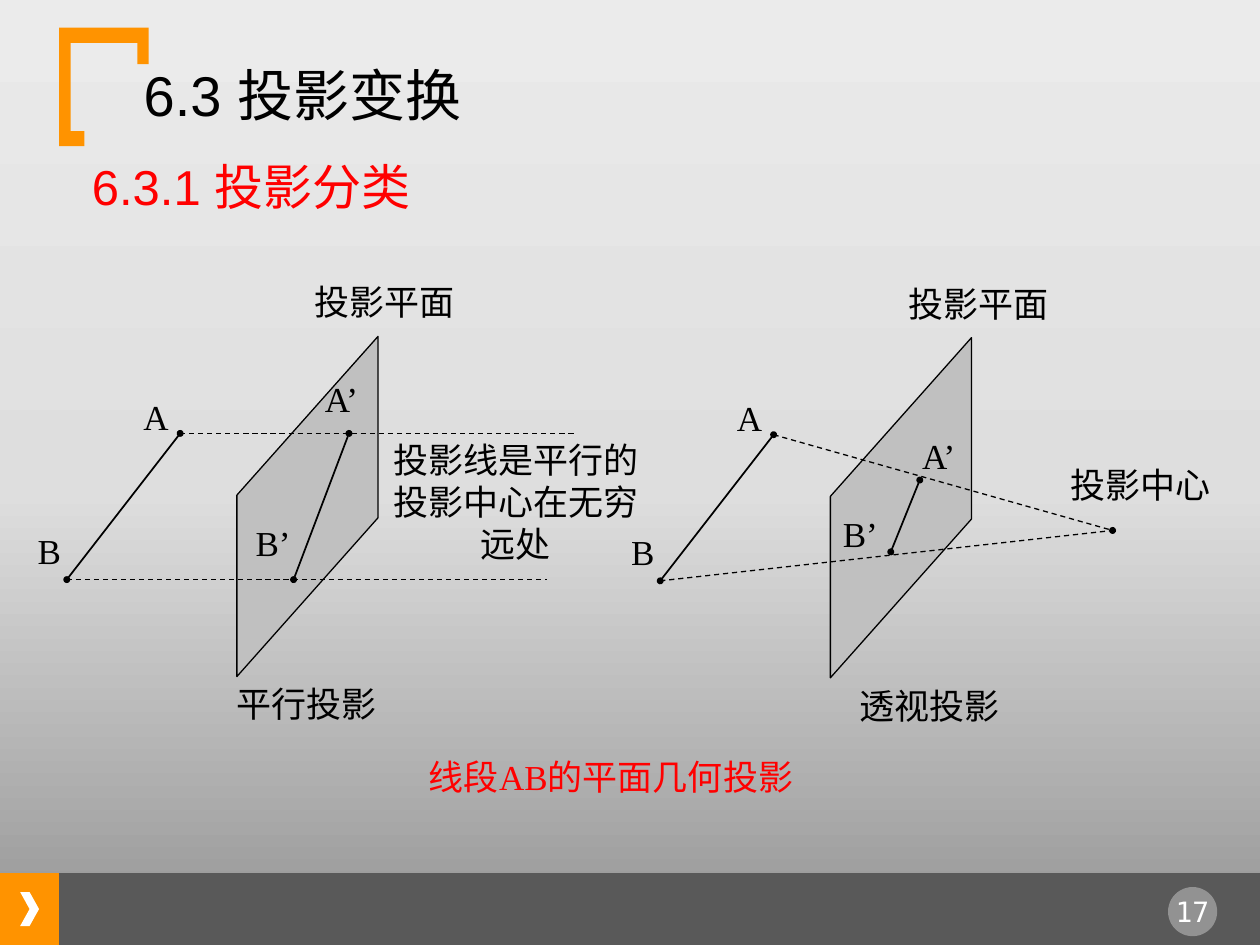
from copy import deepcopy

from lxml.etree import SubElement
from pptx import Presentation
from pptx.dml.color import RGBColor
from pptx.enum.dml import MSO_LINE
from pptx.enum.shapes import MSO_CONNECTOR, MSO_SHAPE
from pptx.enum.text import MSO_ANCHOR as Anchor, MSO_AUTO_SIZE, PP_ALIGN as Align
from pptx.oxml.ns import qn
from pptx.util import Pt

PX = 9144
COLORS = {
    "black": "000000",
    "white": "FFFFFF",
    "red": "FF0000",
    "orange": "FF9300",
    "footer": "595959",
    "plane": "C0C0C0",
}
BACKGROUND = [(0, "949494"), (0.48, "DEDEDE"), (1, "EBEBEB")]


def color(name):
    return RGBColor.from_string(COLORS[name])


def place(shape, box):
    shape.left, shape.top, shape.width, shape.height = [value * PX for value in box]


def write(shape, text, size=20, font="Times New Roman", ink="black",
          align=Align.CENTER, anchor=Anchor.TOP):
    frame = shape.text_frame
    frame.word_wrap = True
    frame.auto_size = MSO_AUTO_SIZE.NONE
    frame.vertical_anchor = anchor
    frame.text = text
    for paragraph in frame.paragraphs:
        properties = paragraph._p.get_or_add_pPr()
        properties.set("marL", "0")
        properties.set("indent", "0")
        SubElement(properties, qn("a:buNone"))
        paragraph.alignment = align
        paragraph.space_before = Pt(0)
        paragraph.font.size = Pt(size)
        paragraph.font.name = font
        paragraph.font.color.rgb = color(ink)


def add_label(slide, text, box, **text_format):
    label = slide.shapes.add_textbox(*[value * PX for value in box])
    write(label, text, **text_format)


def paint(shape, fill, outline=None):
    shape.shadow.inherit = False
    shape.fill.solid()
    shape.fill.fore_color.rgb = color(fill)
    if outline:
        shape.line.color.rgb = color(outline)
        shape.line.width = Pt(0.75)
    else:
        shape.line.fill.background()


def add_block(slide, kind, box, fill):
    block = slide.shapes.add_shape(kind, *[value * PX for value in box])
    paint(block, fill)
    return block


def add_outline(slide, left, top, points, fill, outline=None):
    corners = [(left + x, top + y) for x, y in points]
    builder = slide.shapes.build_freeform(*corners[0], scale=PX)
    builder.add_line_segments(corners[1:], close=True)
    paint(builder.convert_to_shape(), fill, outline)


def add_line(slide, left, top, start, end, width=0.75, dashed=False, dots=()):
    connector = slide.shapes.add_connector(
        MSO_CONNECTOR.STRAIGHT, (left + start[0]) * PX, (top + start[1]) * PX,
        (left + end[0]) * PX, (top + end[1]) * PX)
    connector.line.color.rgb = color("black")
    connector.line.width = Pt(width)
    if dashed:
        connector.line.dash_style = MSO_LINE.DASH
    properties = connector._element.spPr
    for tag in dots:
        SubElement(properties.find(qn("a:ln")), qn(tag), type="oval", w="sm", len="sm")
    SubElement(properties, qn("a:effectLst"))


def draw_background(slide):
    fill = slide.background.fill
    fill.gradient()
    fill.gradient_angle = 90
    stops = slide.element.find(".//" + qn("a:gsLst"))
    stops.append(deepcopy(stops[0]))
    for stop, (position, value) in zip(fill.gradient_stops, BACKGROUND):
        stop.position = position
        stop.color.rgb = RGBColor.from_string(value)


def draw_footer(slide, left, top, width, height):
    tab = 47
    add_block(slide, MSO_SHAPE.RECTANGLE, (left, top, tab, height), "orange")
    add_block(slide, MSO_SHAPE.RECTANGLE, (left + tab, top, width - tab, height), "footer")
    add_block(slide, MSO_SHAPE.CHEVRON, (left + 16, top + 15, 15, 27), "white")
    badge = add_block(slide, MSO_SHAPE.OVAL, (left + 927, top + 11, 39, 39), "white")
    tint = badge._element.spPr.find(qn("a:solidFill"))[0]
    SubElement(tint, qn("a:alpha"), val="35000")
    add_label(slide, "17", (left + 920, top + 12, 53, 37),
              size=16, font="DejaVu Sans Mono", ink="white")


def draw_header(slide, left, top):
    bracket = [(0, 0), (71, 0), (71, 29), (62, 29), (62, 12),
               (9, 12), (9, 82), (20, 82), (20, 94), (0, 94)]
    add_outline(slide, left, top, bracket, "orange")
    title, subtitle = slide.shapes.title, slide.placeholders[1]
    heading = {"font": "Arial", "align": Align.LEFT, "anchor": Anchor.MIDDLE}
    place(title, (left + 57, top + 32, 574, 41))
    write(title, "6.3 投影变换", size=32, **heading)
    place(subtitle, (left + 16, top + 105, 574, 41))
    write(subtitle, "6.3.1 投影分类", size=28, ink="red", **heading)


def draw_projection(slide, left, top, caption, caption_x, images, image_labels,
                    targets, target_dots, note, note_box):
    segment = [(123, 126), (33, 242)]
    plane = [(168, 175), (280, 49), (280, 193), (168, 319)]
    both_ends = ("a:headEnd", "a:tailEnd")
    add_line(slide, left, top, *segment, width=1, dots=both_ends)
    add_outline(slide, left, top, plane, "plane", "black")
    add_line(slide, left, top, *images, width=1, dots=both_ends)
    for start, end, dots in zip(segment, targets, target_dots):
        add_line(slide, left, top, start, end, dashed=True, dots=dots)
    corners = [(84, 91), (0, 197), *image_labels]
    for name, (x, y) in zip(["A", "B", "A’", "B’"], corners):
        add_label(slide, name, (left + x, top + y, 112, 56), align=Align.JUSTIFY)
    x, y, width, height = note_box
    add_label(slide, note, (left + x, top + y, width, height))
    add_label(slide, "投影平面", (left + 207, top, 157, 56))
    add_label(slide, caption, (left + caption_x, top + 319, 157, 56))


def main():
    presentation = Presentation()
    presentation.slide_width, presentation.slide_height = 1000 * PX, 750 * PX
    slide = presentation.slides.add_slide(presentation.slide_layouts[1])
    draw_background(slide)
    draw_footer(slide, 0, 693, 1000, 57)
    draw_header(slide, 47, 22)
    draw_projection(
        slide, 20, 218, "平行投影", 145,
        images=[(257, 126), (213, 242)], image_labels=[(228, 77), (173, 191)],
        targets=[(437, 126), (414, 242)], target_dots=[(), ()],
        note="投影线是平行的\n投影中心在无穷远处", note_box=(280, 125, 219, 87))
    center = (392, 202)
    draw_projection(
        slide, 491, 219, "透视投影", 168,
        images=[(239, 162), (216, 219)], image_labels=[(231, 121), (168, 183)],
        targets=[center, center], target_dots=[(), ("a:tailEnd",)],
        note="投影中心", note_box=(347, 144, 134, 56))
    add_label(slide, "线段AB的平面几何投影", (247, 595, 476, 56), ink="red")
    presentation.save("out.pptx")


if __name__ == "__main__":
    main()
